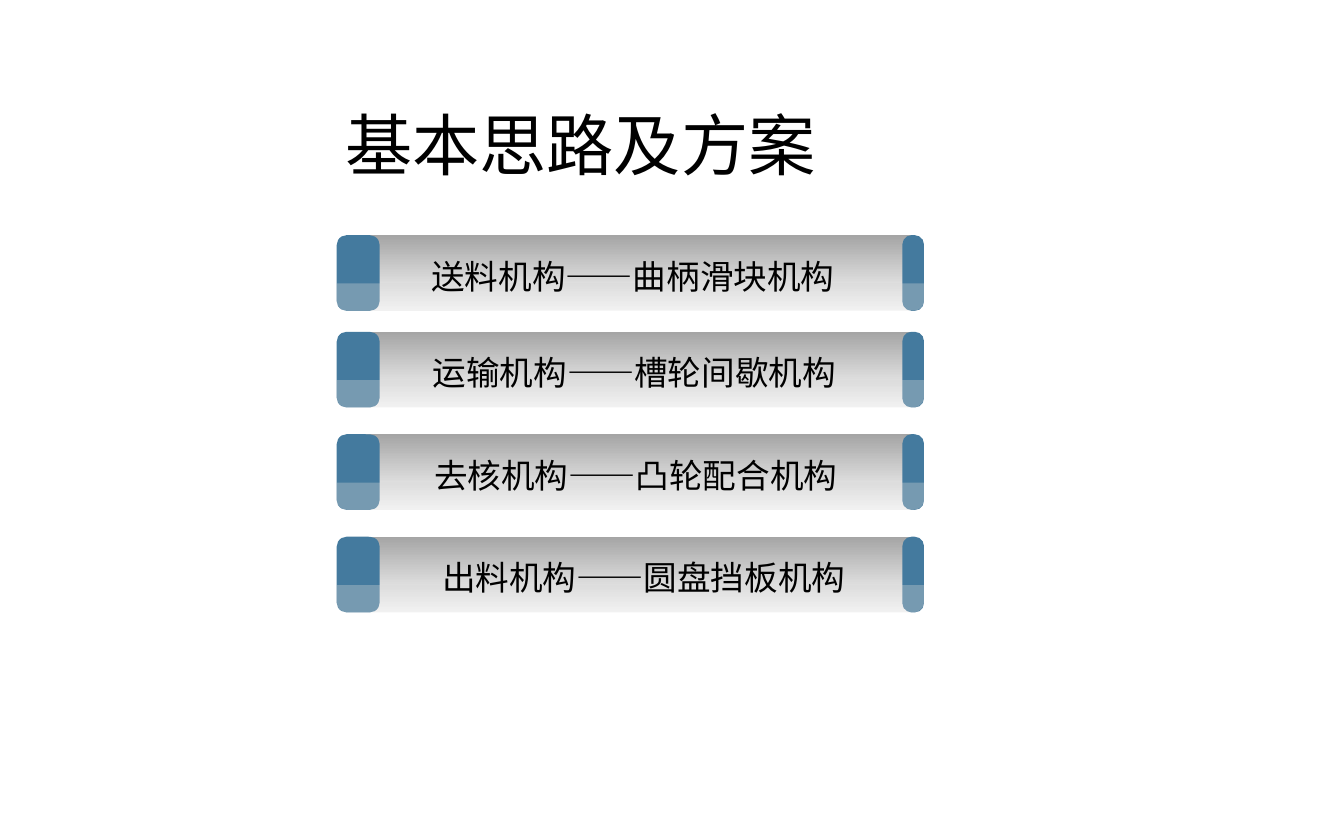
from lxml import etree
from pptx import Presentation, util as u
from pptx.dml.color import RGBColor
from pptx.enum import shapes, text
from pptx.oxml import ns

WHITE = RGBColor(0xFF, 0xFF, 0xFF)
GREY = RGBColor(0xA5, 0xA5, 0xA5)
SHEEN = RGBColor(0xD8, 0xD8, 0xD8)
BLUE = RGBColor(0x44, 0x7A, 0x9E)
BLACK = RGBColor(0, 0, 0)

deck = Presentation()
deck.slide_width, deck.slide_height = u.Inches(10), u.Inches(6.25)
page = deck.slides.add_slide(deck.slide_layouts[6])

# The page is a grid of 100 columns by 100 rows
COLUMN, ROW = deck.slide_width / 100, deck.slide_height / 100


def add_block(parent, kind, place, color, corners=()):
    left, top, width, height = place
    block = parent.add_shape(kind, round(left * COLUMN), round(top * ROW),
                             round(width * COLUMN), round(height * ROW))
    block.shadow.inherit = False
    block.line.fill.background()
    block.fill.solid()
    block.fill.fore_color.rgb = color
    for index, corner in enumerate(corners):
        block.adjustments[index] = corner
    return block


def add_label(parent, words, place, size):
    left, top, width, height = place
    box = parent.add_textbox(round(left * COLUMN), round(top * ROW),
                             round(width * COLUMN), round(height * ROW))
    box.text_frame.word_wrap = True
    box.text_frame.text = words
    span = box.text_frame.paragraphs[0].runs[0]
    span.font.size = u.Pt(size)
    span.font.name = "Arial"
    span.font.color.rgb = BLACK
    return box


# Title
add_label(page.shapes, "基本思路及方案", (24.7, 11.5, 49, 11.2), 36)

# Four bars: label, top row, label centre column
BAR_HEIGHT = 9
bars = [
    ("送料机构——曲柄滑块机构", 28, 47.1),
    ("运输机构——槽轮间歇机构", 39.5, 47.2),
    ("去核机构——凸轮配合机构", 51.7, 47.3),
    ("出料机构——圆盘挡板机构", 63.9, 47.9),
]
rounded = shapes.MSO_SHAPE.ROUNDED_RECTANGLE

for words, top, centre in bars:
    bar = page.shapes.add_group_shape().shapes

    # Body, white at the bottom and grey at the top
    body = add_block(bar, shapes.MSO_SHAPE.RECTANGLE,
                     (26.3, top, 41.7, BAR_HEIGHT), WHITE)
    body.fill.gradient()
    body.fill.gradient_angle = 90
    for stop, color, position in zip(body.fill.gradient_stops, (WHITE, GREY), (0, 1)):
        stop.color.rgb = color
        stop.position = position

    # End caps
    add_block(bar, rounded, (25.05, top, 3.2, BAR_HEIGHT), BLUE, [0.23])
    add_block(bar, rounded, (67.15, top, 1.6, BAR_HEIGHT), BLUE, [0.42])

    # Translucent sheen along the bottom
    sheen = add_block(bar, shapes.MSO_SHAPE.ROUND_2_SAME_RECTANGLE,
                      (25.05, top + 5.75, 43.7, BAR_HEIGHT - 5.75), SHEEN, [0, 0.38])
    tint = sheen.fill._xPr.find(".//" + ns.qn("a:srgbClr"))
    etree.SubElement(tint, ns.qn("a:alpha")).set("val", "34000")

    # Label
    label = add_label(bar, words, (centre - 16.8, top + 2, 33.6, 5.6), 18)
    label.text_frame.vertical_anchor = text.MSO_ANCHOR.MIDDLE
    label.text_frame.paragraphs[0].alignment = text.PP_ALIGN.CENTER

deck.save("out.pptx")
